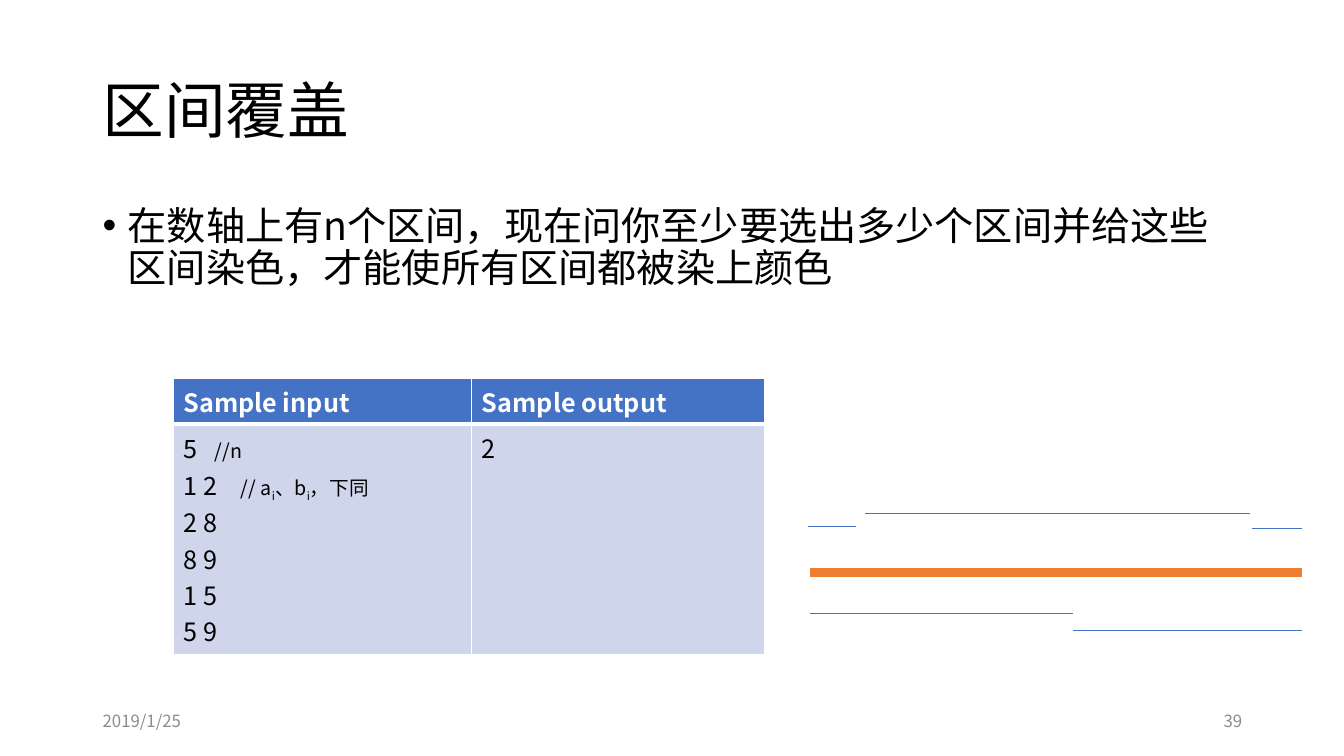
"""Build the interval covering slide with its sample table and interval sketch."""
from dataclasses import dataclass

from lxml import etree
from pptx import Presentation, util as u
from pptx.dml.color import RGBColor
from pptx.enum import shapes, text
from pptx.oxml import ns

SCALE = 9144


@dataclass(frozen=True)
class Theme:
    font: str = "Noto Sans CJK SC"
    black: str = "000000"
    white: str = "FFFFFF"
    grey: str = "8C8C8C"
    blue: str = "4472C4"
    pale: str = "CFD5EA"
    orange: str = "ED7D31"
    title: int = 44
    body: int = 28
    table: int = 18
    note: int = 14
    footer: int = 12


THEME = Theme()


@dataclass(frozen=True)
class Piece:
    words: str
    size: int = THEME.table
    color: str = THEME.black
    bold: bool = False
    subscript: bool = False


@dataclass(frozen=True)
class Line:
    pieces: tuple[Piece, ...]
    align: text.PP_ALIGN = text.PP_ALIGN.LEFT
    spacing: float = 1.0
    before: int = 0
    bullet: bool = False
    tab: int = 0


@dataclass(frozen=True)
class Box:
    left: int
    top: int
    width: int
    height: int
    line: Line
    anchor: text.MSO_ANCHOR = text.MSO_ANCHOR.MIDDLE


@dataclass(frozen=True)
class Interval:
    start: int
    end: int
    y: int
    color: str = THEME.blue
    weight: float = 0.5


@dataclass(frozen=True)
class Cell:
    lines: tuple[Line, ...]
    fill: str
    top: int
    bottom: int


def px(length: int) -> int:
    """Turn px into EMU."""
    return u.Emu(length * SCALE)


def plain(words: str, **style) -> Line:
    """Return a line with one piece of text."""
    return Line((Piece(words, **style),))


def note(words: str, subscript: bool = False) -> Piece:
    """Return a small remark beside the sample data."""
    return Piece(words, THEME.note, subscript=subscript)


def add_child(parent, tag: str, **attributes: str):
    """Append an XML element and return it."""
    return etree.SubElement(parent, ns.qn(tag), attributes)


def write_line(paragraph, line: Line) -> None:
    """Fill a paragraph run by run."""
    paragraph.alignment = line.align
    paragraph.line_spacing = line.spacing
    paragraph.space_before = u.Pt(line.before)
    properties = paragraph._p.get_or_add_pPr()
    if line.bullet:
        properties.set("marL", str(px(25)))
        properties.set("indent", str(px(-25)))
        add_child(properties, "a:buFont", typeface="Arial")
        add_child(properties, "a:buChar", char="•")
    if line.tab:
        stops = add_child(properties, "a:tabLst")
        add_child(stops, "a:tab", pos=str(px(line.tab)), algn="l")
    for piece in line.pieces:
        run = paragraph.add_run()
        run.text = piece.words
        run.font.size = u.Pt(piece.size)
        run.font.bold = piece.bold
        run.font.color.rgb = RGBColor.from_string(piece.color)
        run.font.name = THEME.font
        run_properties = run._r.get_or_add_rPr()
        add_child(run_properties, "a:ea", typeface=THEME.font)
        if piece.subscript:
            run_properties.set("baseline", "-25000")


def write_lines(frame, lines: tuple[Line, ...]) -> None:
    """Write each line into its own paragraph."""
    for index, line in enumerate(lines):
        write_line(frame.add_paragraph() if index else frame.paragraphs[0], line)


def add_box(slide, box: Box) -> None:
    """Add a wrapping text box."""
    shape = slide.shapes.add_textbox(px(box.left), px(box.top), px(box.width), px(box.height))
    shape.text_frame.word_wrap = True
    shape.text_frame.vertical_anchor = box.anchor
    write_lines(shape.text_frame, (box.line,))


def format_cell(target, cell: Cell) -> None:
    """Write, border and fill one table cell."""
    write_lines(target.text_frame, cell.lines)
    properties = target._tc.get_or_add_tcPr()
    for side, weight in (("L", 1), ("R", 1), ("T", cell.top), ("B", cell.bottom)):
        border = add_child(properties, f"a:ln{side}", w=str(u.Pt(weight)))
        add_child(add_child(border, "a:solidFill"), "a:srgbClr", val=THEME.white)
    target.fill.solid()
    target.fill.fore_color.rgb = RGBColor.from_string(cell.fill)


def add_samples(slide, rows: tuple[tuple[Cell, ...], ...]) -> None:
    """Add the table of sample input and output."""
    table = slide.shapes.add_table(2, 2, px(172), px(375), px(586), px(274)).table
    for column, width in zip(table.columns, (296, 290)):
        column.width = px(width)
    for row, height in zip(table.rows, (46, 228)):
        row.height = px(height)
    for row, cells in zip(table.rows, rows):
        for target, cell in zip(row.cells, cells):
            format_cell(target, cell)


def add_interval(slide, interval: Interval) -> None:
    """Draw an interval as a horizontal line."""
    connector = slide.shapes.add_connector(
        shapes.MSO_CONNECTOR.STRAIGHT,
        px(interval.start), px(interval.y), px(interval.end), px(interval.y),
    )
    connector.line.color.rgb = RGBColor.from_string(interval.color)
    connector.line.width = u.Pt(interval.weight)
    add_child(connector._element.spPr, "a:effectLst")


def header(words: str) -> Cell:
    """Return a header cell."""
    return Cell((plain(words, color=THEME.white, bold=True),), THEME.blue, 1, 3)


def sample(*lines: Line) -> Cell:
    """Return a sample data cell."""
    return Cell(lines, THEME.pale, 3, 1)


BOXES = (
    Box(92, 40, 1150, 145, Line((Piece("区间覆盖", THEME.title),), spacing=0.9)),
    Box(92, 200, 1150, 476, Line(
        (Piece("在数轴上有n个区间，现在问你至少要选出多少个区间并给这些区间染色，才能使所有区间都被染上颜色", THEME.body),),
        spacing=0.9, before=10, bullet=True), text.MSO_ANCHOR.TOP),
    Box(92, 695, 300, 40, plain("2019/1/25", size=THEME.footer, color=THEME.grey)),
    Box(942, 695, 300, 40, Line((Piece("39", THEME.footer, THEME.grey),), text.PP_ALIGN.RIGHT)),
)
COUNT = Line((Piece("5\t"), note("//n")), tab=31)
FIRST_PAIR = Line((Piece("1 2\t"), note("// a"), note("i", True), note("、b"),
                   note("i", True), note("，下同")), tab=57)
SAMPLES = (
    (header("Sample input"), header("Sample output")),
    (sample(COUNT, FIRST_PAIR, *map(plain, ("2 8", "8 9", "1 5", "5 9"))), sample(plain("2"))),
)
INTERVALS = (
    Interval(803, 1291, 568, THEME.orange, 6),
    Interval(801, 849, 522),
    Interval(858, 1240, 509),
    Interval(1242, 1291, 524),
    Interval(803, 1064, 609),
    Interval(1064, 1291, 625),
)


def main() -> None:
    """Build and save the slide."""
    presentation = Presentation()
    presentation.slide_width, presentation.slide_height = px(1333), px(750)
    slide = presentation.slides.add_slide(presentation.slide_layouts[6])
    for box in BOXES:
        add_box(slide, box)
    add_samples(slide, SAMPLES)
    for interval in INTERVALS:
        add_interval(slide, interval)
    presentation.save("out.pptx")


if __name__ == "__main__":
    main()
